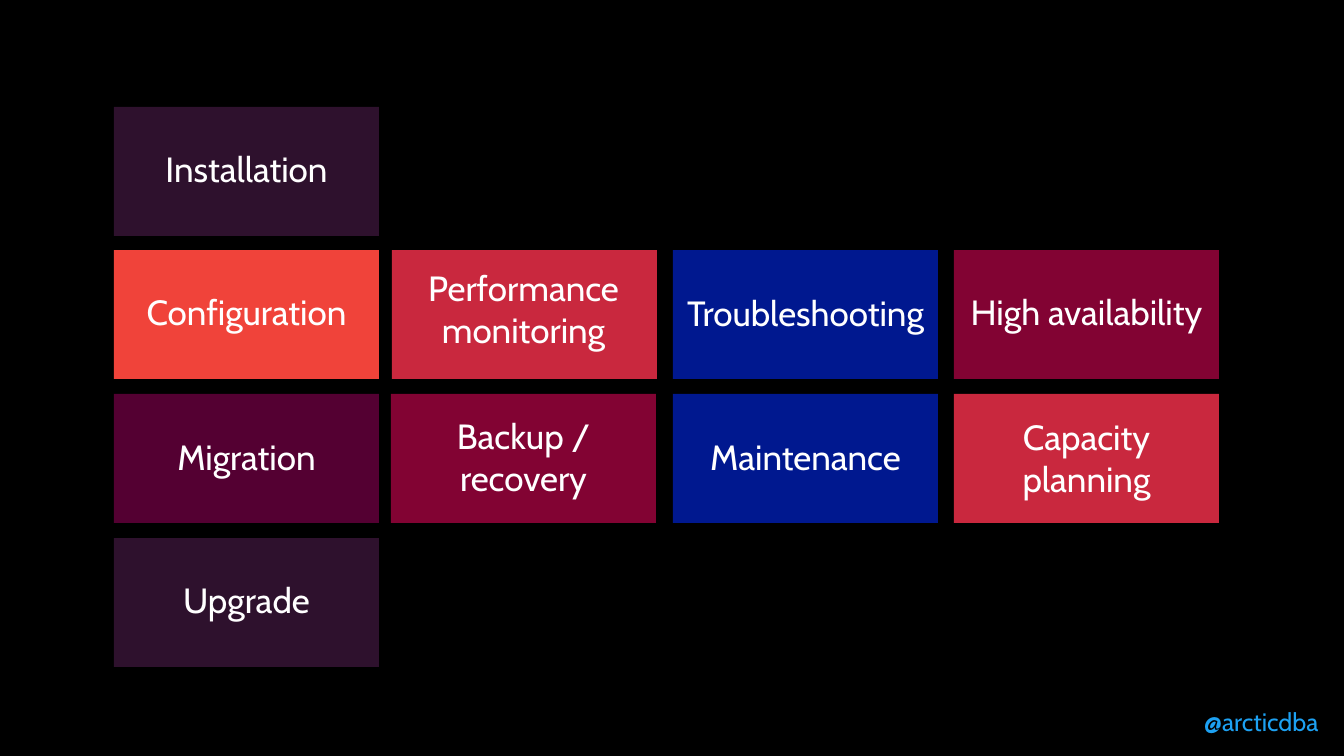
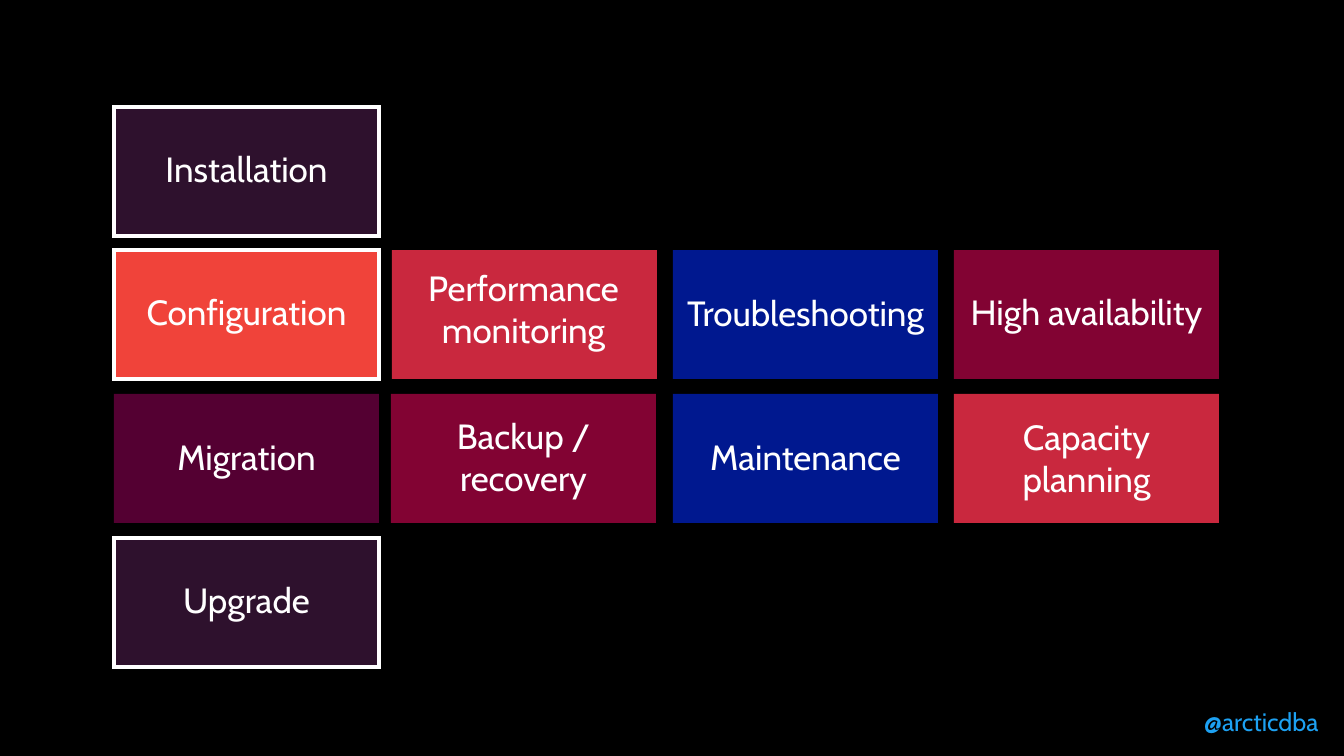
from lxml import etree
from pptx import Presentation
from pptx import util as u
from pptx.dml.color import RGBColor
from pptx.enum import shapes, text
from pptx.oxml import ns

PX = 12192000 / 1344
COLORS = {
    "black": "000000", "white": "FFFFFF", "plum": "2E112D", "orange": "F0433A",
    "purple": "540032", "wine": "820333", "red": "C9283E", "blue": "00188F",
    "handle": "1DA1F2",
}
COLUMNS = [114, 391, 673, 954]
ROWS = [107, 250, 394, 538]
TILE_W, TILE_H = 265, 129
TILES = [
    ("Installation", 0, 0, "plum", 0, 3),
    ("Configuration", 0, 1, "orange", 0, 3),
    ("Migration", 0, 2, "purple", 0, 2),
    ("Upgrade", 0, 3, "plum", 0, 3),
    ("Performance monitoring", 1, 1, "red", 1, 6),
    ("Backup / recovery", 1, 2, "wine", 0, 2),
    ("Troubleshooting", 2, 1, "blue", 0, 2),
    ("Maintenance", 2, 2, "blue", 0, 2),
    ("High availability", 3, 1, "wine", 0, 3),
    ("Capacity planning", 3, 2, "red", 0, 1),
]
HIGHLIGHTS = [[], ["Installation", "Configuration", "Upgrade"]]


def px(n):
    return u.Emu(round(n * PX))


def write(tf, words, size=25, color="white", align=text.PP_ALIGN.CENTER, wrap=True):
    tf.word_wrap = wrap
    p = tf.paragraphs[0]
    p.alignment = align
    r = p.add_run()
    r.text = words
    r.font.name = "Cabin"
    r.font.size = u.Pt(size)
    r.font.color.rgb = RGBColor.from_string(COLORS[color])


prs = Presentation()
prs.slide_width, prs.slide_height = px(1344), px(756)
bg = prs.slide_master.background.fill
bg.solid()
bg.fore_color.rgb = RGBColor.from_string(COLORS["black"])

for highlighted in HIGHLIGHTS:
    s = prs.slides.add_slide(prs.slide_layouts[6])
    for label, col, row, color, shift, lift in TILES:
        sp = s.shapes.add_shape(shapes.MSO_SHAPE.RECTANGLE, px(COLUMNS[col] + shift),
                                px(ROWS[row]), px(TILE_W), px(TILE_H))
        sp.shadow.inherit = False
        sp.fill.solid()
        sp.fill.fore_color.rgb = RGBColor.from_string(COLORS[color])
        if label in highlighted:
            sp.line.color.rgb = RGBColor.from_string(COLORS["white"])
            sp.line.width = u.Pt(2.25)
            ln = sp.element.spPr.find(ns.qn("a:ln"))
            etree.SubElement(ln, ns.qn("a:miter"), lim="800000")
        else:
            sp.line.fill.background()
        tf = sp.text_frame
        tf.vertical_anchor = text.MSO_ANCHOR.MIDDLE
        tf.margin_left, tf.margin_right = px(10), px(10 + 2 * shift)
        tf.margin_top, tf.margin_bottom = 0, px(2 * lift)
        write(tf, label)
    handle = s.shapes.add_textbox(px(1194), px(701), px(141), px(40))
    write(handle.text_frame, "@arcticdba", size=18, color="handle",
          align=text.PP_ALIGN.LEFT, wrap=False)

prs.save("out.pptx")
